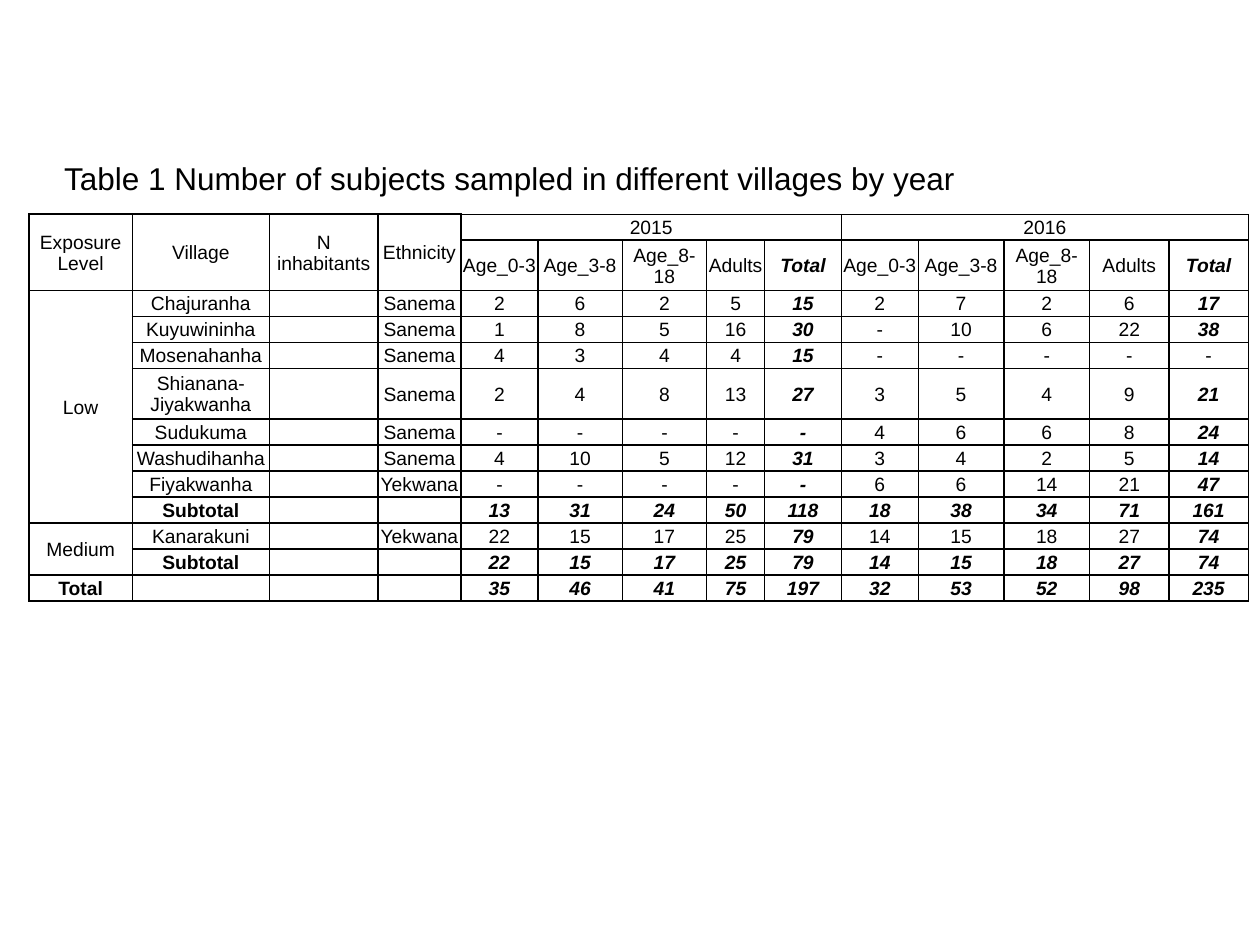
from dataclasses import dataclass

from lxml.etree import SubElement
from pptx import Presentation
from pptx.dml.color import RGBColor
from pptx.enum.text import MSO_ANCHOR, MSO_AUTO_SIZE, PP_ALIGN
from pptx.oxml.ns import qn
from pptx.table import Table, _Cell
from pptx.text.text import _Paragraph
from pptx.util import Inches, Pt

BLACK = RGBColor(0x00, 0x00, 0x00)
FONT_NAME = "Arial"
CELL_SIZE = 11
THICK, THIN = 1, 0.5
COLUMN_WIDTHS = [0.82, 1.09, 0.86, 0.66, 0.61, 0.67, 0.67, 0.46, 0.61,
                 0.61, 0.68, 0.68, 0.63, 0.63]
TABLE_HEIGHT = 3.07
TALL_ROW = 0.4
TALL_ROWS = (1, 5)
AGE_GROUPS = ["Age_0-3", "Age_3-8", "Age_8-18", "Adults", "Total"]
TOTAL_COLUMNS = (8, 13)
FIRST_COUNT = 4
SECOND_YEAR = 9
UNSAMPLED_TOTAL = (4, 13)


@dataclass
class SampleRow:
    exposure: str
    village: str
    ethnicity: str
    counts_2015: str
    counts_2016: str

    @property
    def is_sum(self) -> bool:
        return "Subtotal" in self.village or self.exposure == "Total"

    def texts(self) -> list[str]:
        return [self.exposure, self.village, "", self.ethnicity,
                *self.counts_2015.split(), *self.counts_2016.split()]


@dataclass
class Span:
    row: int
    column: int
    rows: int
    columns: int


SAMPLES = [
    SampleRow("Low", "Chajuranha", "Sanema", "2 6 2 5 15", "2 7 2 6 17"),
    SampleRow("", "Kuyuwininha", "Sanema", "1 8 5 16 30", "- 10 6 22 38"),
    SampleRow("", "Mosenahanha", "Sanema", "4 3 4 4 15", "- - - - -"),
    SampleRow("", "Shianana-Jiyakwanha", "Sanema", "2 4 8 13 27", "3 5 4 9 21"),
    SampleRow("", "Sudukuma", "Sanema", "- - - - -", "4 6 6 8 24"),
    SampleRow("", "Washudihanha", "Sanema", "4 10 5 12 31", "3 4 2 5 14"),
    SampleRow("", "Fiyakwanha", "Yekwana", "- - - - -", "6 6 14 21 47"),
    SampleRow("", "Subtotal", "", "13 31 24 50 118", "18 38 34 71 161"),
    SampleRow("Medium", "Kanarakuni", "Yekwana", "22 15 17 25 79", "14 15 18 27 74"),
    SampleRow("", "Subtotal", "", "22 15 17 25 79", "14 15 18 27 74"),
    SampleRow("Total", "", "", "35 46 41 75 197", "32 53 52 98 235"),
]
HEADERS = [
    ["Exposure Level", "Village", "N inhabitants", "Ethnicity",
     "2015", "", "", "", "", "2016", "", "", "", ""],
    [""] * FIRST_COUNT + AGE_GROUPS * 2,
]
SPANS = [Span(0, column, 2, 1) for column in range(FIRST_COUNT)] + [
    Span(0, FIRST_COUNT, 1, 5),
    Span(0, SECOND_YEAR, 1, 5),
    Span(2, 0, 8, 1),
    Span(10, 0, 2, 1),
]


def add_text(paragraph: _Paragraph, text: str, size: float,
             bold: bool = False, italic: bool = False) -> None:
    run = paragraph.add_run()
    run.text = text
    run.font.name = FONT_NAME
    run.font.size = Pt(size)
    run.font.bold = bold
    run.font.italic = italic
    run.font.color.rgb = BLACK


def set_borders(cell: _Cell, widths: dict[str, float]) -> None:
    properties = cell._tc.get_or_add_tcPr()
    for side in "LRTB":
        line = SubElement(properties, qn(f"a:ln{side}"),
                          w=str(Pt(widths.get(side, THICK))))
        fill = SubElement(line, qn("a:solidFill"))
        SubElement(fill, qn("a:srgbClr"), val=str(BLACK))


def border_widths(row: int, column: int) -> dict[str, float]:
    if row > 0 or column < FIRST_COUNT:
        return {}
    widths = {"T": THIN}
    if column in TOTAL_COLUMNS:
        widths["R"] = THIN
    if column == SECOND_YEAR:
        widths["L"] = THIN
    return widths


def fill_cell(cell: _Cell, text: str, bold: bool, italic: bool,
              borders: dict[str, float]) -> None:
    set_borders(cell, borders)
    cell.fill.background()
    cell.vertical_anchor = MSO_ANCHOR.MIDDLE
    cell.margin_left = cell.margin_right = cell.margin_top = Inches(0.01)
    cell.margin_bottom = 0
    paragraph = cell.text_frame.paragraphs[0]
    paragraph.alignment = PP_ALIGN.CENTER
    if text:
        add_text(paragraph, text, CELL_SIZE, bold, italic)
    else:
        SubElement(paragraph._p, qn("a:endParaRPr"), sz=str(CELL_SIZE * 100))


def fill_table(table: Table) -> None:
    table.first_row = False
    table.horz_banding = False
    for column, width in zip(table.columns, COLUMN_WIDTHS):
        column.width = Inches(width)
    short_count = len(table.rows) - len(TALL_ROWS)
    short_row = (TABLE_HEIGHT - len(TALL_ROWS) * TALL_ROW) / short_count
    for index, row in enumerate(table.rows):
        row.height = Inches(TALL_ROW if index in TALL_ROWS else short_row)

    sum_rows = [index for index, sample in enumerate(SAMPLES, len(HEADERS))
                if sample.is_sum]
    contents = HEADERS + [sample.texts() for sample in SAMPLES]
    for row, texts in enumerate(contents):
        for column, text in enumerate(texts):
            is_total = (row > 0 and column in TOTAL_COLUMNS
                        and (row, column) != UNSAMPLED_TOTAL)
            bold = is_total or (row in sum_rows)
            italic = bold and column >= FIRST_COUNT
            fill_cell(table.cell(row, column), text, bold, italic,
                      border_widths(row, column))
    for span in SPANS:
        last = table.cell(span.row + span.rows - 1, span.column + span.columns - 1)
        table.cell(span.row, span.column).merge(last)


def main() -> None:
    presentation = Presentation()
    presentation.slide_width = Inches(10)
    presentation.slide_height = Inches(7.5)
    slide = presentation.slides.add_slide(presentation.slide_layouts[5])

    title = slide.shapes.title
    title.left, title.top = Inches(0.41), Inches(1.21)
    title.width, title.height = Inches(7.34), Inches(0.4)
    title.text_frame.word_wrap = False
    title.text_frame.auto_size = MSO_AUTO_SIZE.SHAPE_TO_FIT_TEXT
    title.text_frame.vertical_anchor = MSO_ANCHOR.TOP
    caption = title.text_frame.paragraphs[0]
    caption.alignment = PP_ALIGN.LEFT
    add_text(caption, "Table 1 Number of subjects sampled in different villages by year", 18)

    frame = slide.shapes.add_table(
        len(HEADERS) + len(SAMPLES), len(COLUMN_WIDTHS), Inches(0.23), Inches(1.7),
        Inches(sum(COLUMN_WIDTHS)), Inches(TABLE_HEIGHT))
    fill_table(frame.table)
    presentation.save("out.pptx")


if __name__ == "__main__":
    main()
